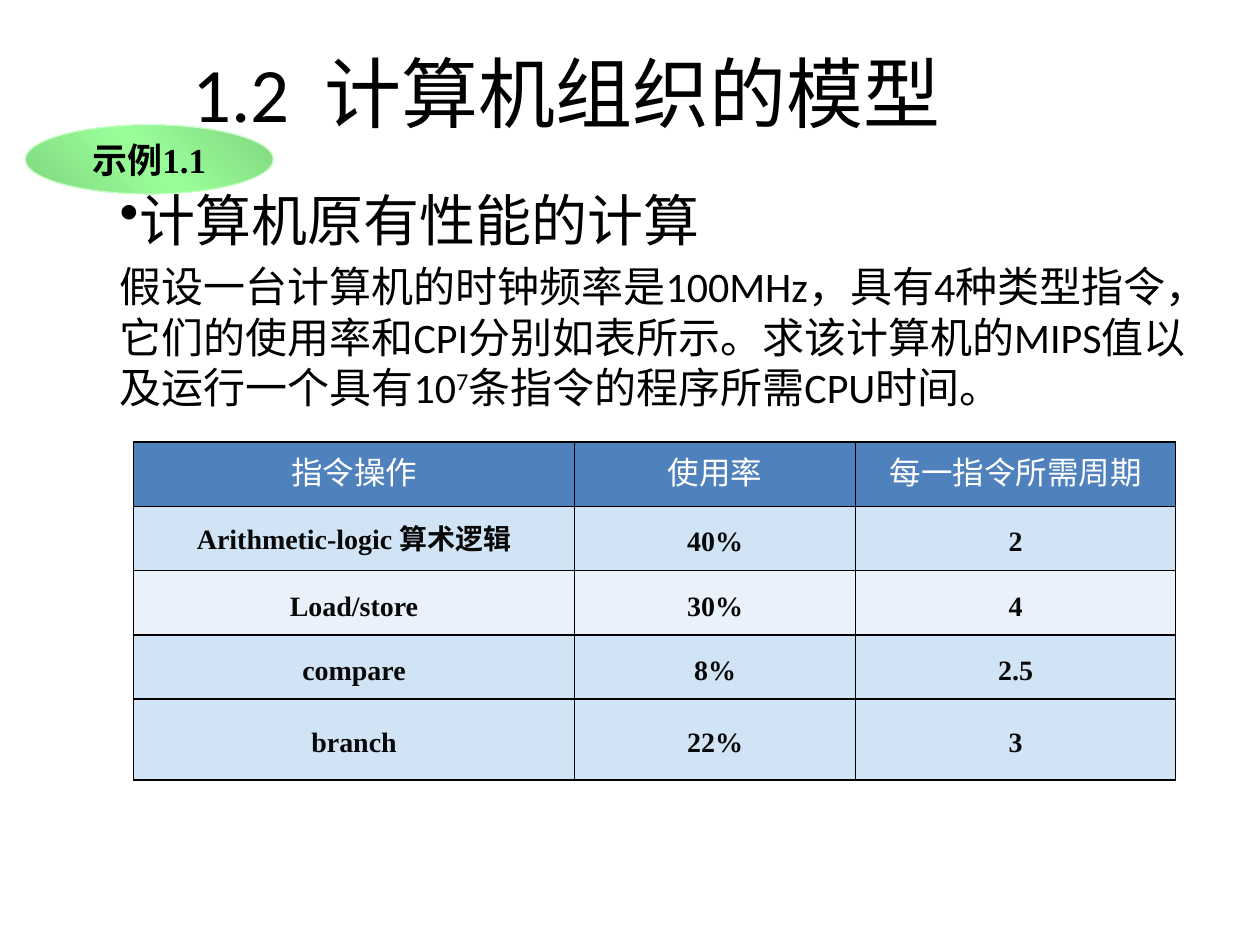
from lxml import etree
from pptx import Presentation
from pptx.dml.color import RGBColor
from pptx.enum.shapes import MSO_SHAPE
from pptx.enum.text import MSO_ANCHOR, PP_ALIGN
from pptx.oxml import parse_xml
from pptx.oxml.ns import nsdecls, qn
from pptx.util import Inches, Pt

CENTER = PP_ALIGN.CENTER
MIDDLE = MSO_ANCHOR.MIDDLE
OVAL = MSO_SHAPE.OVAL
TITLE_ONLY = 5
SANS, SERIF = "Calibri", "Times New Roman"
BLACK, WHITE, INK = "000000", "FFFFFF", "080808"
HEADER, BAND, PALE = "4F81BD", "D0E4F5", "E9F2FA"
BADGE_STOPS = [(0, "80D580"), (50, "99FF99"), (100, "80D580")]
COLUMNS = [3.5, 2.23, 2.54]
ROW_HEIGHTS = [0.51] * 4 + [0.64]
ROW_FILLS = [HEADER, BAND, PALE, BAND, BAND]
ROWS = [
    ["指令操作", "使用率", "每一指令所需周期"],
    ["Arithmetic-logic 算术逻辑", "40%", "2"],
    ["Load/store", "30%", "4"],
    ["compare", "8%", "2.5"],
    ["branch", "22%", "3"],
]
PROBLEM = [
    ("假设一台计算机的时钟频率是100MHz，具有4种类型指令，它们的使用率和CPI分别如表所示。"
     "求该计算机的MIPS值以及运行一个具有10", False),
    ("7", True),
    ("条指令的程序所需CPU时间。", False),
]


def color(value):
    """Turn a hex string into a colour."""
    return RGBColor.from_string(value)


def add_run(paragraph, text, size, font=SANS, ink=BLACK, bold=False):
    """Append one formatted run and return it."""
    run = paragraph.add_run()
    run.text = text
    run.font.name = font
    run.font.size = Pt(size)
    run.font.bold = bold
    run.font.color.rgb = color(ink)
    return run


def place_title(slide, box):
    """Place and format the slide title."""
    title = slide.shapes.title
    title.left, title.top, title.width, title.height = map(Inches, box)
    title.text_frame.vertical_anchor = MIDDLE
    paragraph = title.text_frame.paragraphs[0]
    paragraph.alignment = CENTER
    add_run(paragraph, "1.2  计算机组织的模型", 44)


def add_body(slide, box):
    """Add the bulleted topic and the problem statement."""
    frame = slide.shapes.add_textbox(*map(Inches, box)).text_frame
    frame.word_wrap = True
    topic = frame.paragraphs[0]
    topic.space_before = Pt(6.4)
    bullet = etree.SubElement(topic._p.get_or_add_pPr(), qn("a:buChar"))
    bullet.set("char", "•")
    add_run(topic, "计算机原有性能的计算", 32)
    problem = frame.add_paragraph()
    problem.space_before = Pt(4.8)
    for text, raised in PROBLEM:
        run = add_run(problem, text, 24)
        if raised:
            run.font._element.set("baseline", "30000")


def add_badge(slide, box):
    """Add the gradient oval that numbers the example."""
    badge = slide.shapes.add_shape(OVAL, *map(Inches, box))
    badge.shadow.inherit = False
    badge.line.color.rgb = color("CCFFCC")
    badge.line.width = Pt(0.75)
    stops = "".join(
        f'<a:gs pos="{share * 1000}"><a:srgbClr val="{value}"/></a:gs>'
        for share, value in BADGE_STOPS)
    gradient = parse_xml(
        f'<a:gradFill {nsdecls("a")} rotWithShape="1"><a:gsLst>{stops}</a:gsLst>'
        f'<a:lin ang="{315 * 60000}" scaled="1"/></a:gradFill>')
    badge._element.spPr.find(qn("a:prstGeom")).addnext(gradient)
    frame = badge.text_frame
    frame.word_wrap = False
    frame.vertical_anchor = MIDDLE
    paragraph = frame.paragraphs[0]
    paragraph.alignment = CENTER
    add_run(paragraph, "示例1.1", 20, SERIF, bold=True)


def add_borders(cell):
    """Draw a thin black line on every side of a cell."""
    properties = cell._tc.get_or_add_tcPr()
    for index, side in enumerate(("lnL", "lnR", "lnT", "lnB")):
        properties.insert(index, parse_xml(
            f'<a:{side} {nsdecls("a")} w="{Pt(1)}"><a:solidFill>'
            f'<a:srgbClr val="{BLACK}"/></a:solidFill></a:{side}>'))


def fill_cell(cell, text, fill, is_header):
    """Format one table cell and write its text."""
    cell.fill.solid()
    cell.fill.fore_color.rgb = color(fill)
    cell.vertical_anchor = MIDDLE
    cell.margin_left = cell.margin_right = cell.margin_top = cell.margin_bottom = 0
    add_borders(cell)
    paragraph = cell.text_frame.paragraphs[0]
    paragraph.alignment = CENTER
    paragraph.line_spacing = Pt(22)
    size, ink = (18, WHITE) if is_header else (16, INK)
    add_run(paragraph, text, size, SERIF, ink, not is_header)


def add_instruction_table(slide, left, top):
    """Add the table of instruction types, usage and cycles."""
    size = (sum(COLUMNS), sum(ROW_HEIGHTS))
    table = slide.shapes.add_table(
        len(ROWS), len(COLUMNS), *map(Inches, (left, top, *size))).table
    for column, width in zip(table.columns, COLUMNS):
        column.width = Inches(width)
    for index, texts in enumerate(ROWS):
        table.rows[index].height = Inches(ROW_HEIGHTS[index])
        for cell, text in zip(table.rows[index].cells, texts):
            fill_cell(cell, text, ROW_FILLS[index], index == 0)


def main():
    """Build the slide and save it."""
    presentation = Presentation()
    presentation.slide_width, presentation.slide_height = Inches(10), Inches(7.5)
    slide = presentation.slides.add_slide(presentation.slide_layouts[TITLE_ONLY])
    place_title(slide, (0, 0.25, 9, 0.95))
    add_body(slide, (0.85, 1.42, 8.71, 5.5))
    add_badge(slide, (0.2, 0.99, 1.97, 0.55))
    add_instruction_table(slide, 1.06, 3.51)
    presentation.save("out.pptx")


if __name__ == "__main__":
    main()
